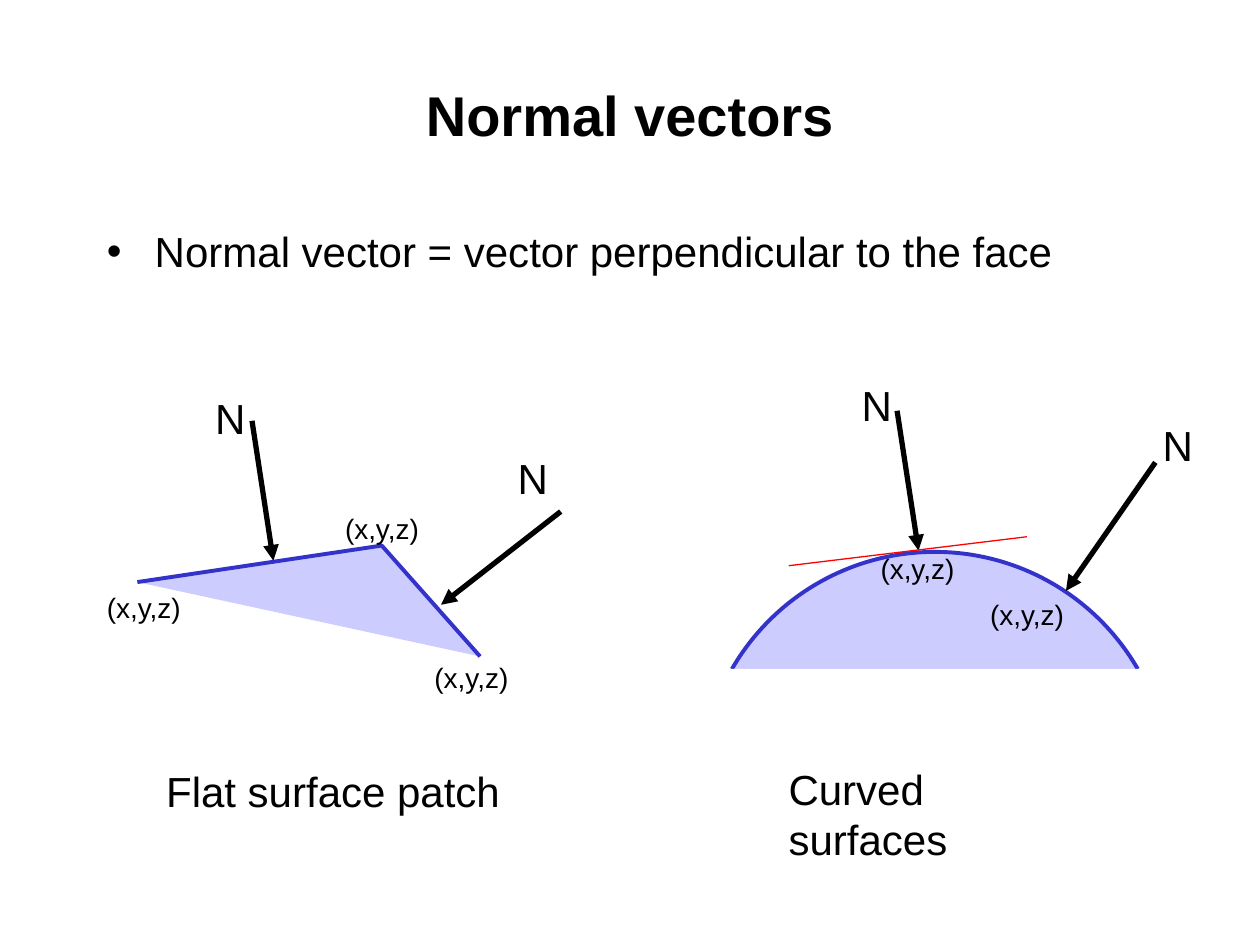
import pptx
import pptx.dml.color
import pptx.enum.shapes
import pptx.enum.text
import pptx.oxml.ns
import pptx.util
from dataclasses import dataclass
from lxml import etree

Inches = pptx.util.Inches
Pt = pptx.util.Pt
Align = pptx.enum.text.PP_ALIGN
Anchor = pptx.enum.text.MSO_ANCHOR
Shape = pptx.enum.shapes.MSO_SHAPE


@dataclass(frozen=True)
class Theme:
    font: str = "Arial"
    ink: str = "000000"
    paper: str = "FFFFFF"
    surface: str = "CCCCFF"
    edge: str = "3333CC"
    tangent: str = "FF0000"
    title_size: int = 32
    text_size: int = 24
    point_size: int = 16


THEME = Theme()


def rgb(code):
    return pptx.dml.color.RGBColor.from_string(code)


def add_xml(parent, tag, **attributes):
    return etree.SubElement(parent, pptx.oxml.ns.qn(tag), attributes)


def add_text(slide, text, left, top, width, height, *, size=THEME.text_size,
             bold=False, wrap=False, align=Align.LEFT, anchor=Anchor.TOP,
             before=0, after=0, spacing=None, bullet_indent=None):
    box = slide.shapes.add_textbox(*map(Inches, (left, top, width, height)))
    frame = box.text_frame
    frame.word_wrap = wrap
    frame.vertical_anchor = anchor
    paragraph = frame.paragraphs[0]
    paragraph.alignment = align
    paragraph.space_before, paragraph.space_after = Pt(before), Pt(after)
    paragraph.line_spacing = spacing
    if bullet_indent:
        properties = paragraph._p.get_or_add_pPr()
        properties.set("marL", str(Inches(bullet_indent)))
        properties.set("indent", str(-Inches(bullet_indent)))
        add_xml(properties, "a:buFont", typeface=THEME.font)
        add_xml(properties, "a:buChar", char="•")
    run = paragraph.add_run()
    run.text = text
    run.font.name, run.font.size, run.font.bold = THEME.font, Pt(size), bold
    run.font.color.rgb = rgb(THEME.ink)


def style_shape(shape, fill, edge=None):
    shape.shadow.inherit = False
    shape.fill.solid()
    shape.fill.fore_color.rgb = rgb(fill)
    if edge:
        shape.line.color.rgb = rgb(edge)
        shape.line.width = Pt(2.25)
    else:
        shape.line.fill.background()


def add_line(slide, start, end, color, width, arrow=False):
    line = slide.shapes.add_connector(
        pptx.enum.shapes.MSO_CONNECTOR.STRAIGHT, *map(Inches, start + end))
    line.line.color.rgb = rgb(color)
    line.line.width = Pt(width)
    if arrow:
        add_xml(line.line._get_or_add_ln(), "a:tailEnd", type="triangle")
    add_xml(line._element.spPr, "a:effectLst")


def add_normal(slide, start, end, label_at):
    add_line(slide, start, end, THEME.ink, 3, arrow=True)
    add_text(slide, "N", *label_at, 0.44, 0.5)


def add_points(slide, positions):
    for position in positions:
        add_text(slide, "(x,y,z)", *position, 0.8, 0.37, size=THEME.point_size)


def add_flat_patch(slide):
    corners = [(1.09, 4.62), (3.03, 4.33), (3.81, 5.21)]
    first, *others = [tuple(map(Inches, corner)) for corner in corners]
    builder = slide.shapes.build_freeform(*first)
    builder.add_line_segments(others, close=False)
    style_shape(builder.convert_to_shape(), THEME.surface, THEME.edge)
    add_normal(slide, (2, 3.34), (2.17, 4.45), (1.61, 3.07))
    add_normal(slide, (4.45, 4.06), (3.5, 4.8), (4.01, 3.54))
    add_points(slide, [(0.75, 4.64), (2.64, 4.01), (3.35, 5.19)])
    add_text(slide, "Flat surface patch", 1.22, 6.03, 2.85, 0.5)


def add_curved_surface(slide):
    # Circular arc from 210 to 330 degrees, cut off level at its ends
    center_x, center_y, radius = 7.42, 6.24, 1.86
    dome = slide.shapes.add_shape(
        Shape.ARC, Inches(center_x - radius), Inches(center_y - radius),
        Inches(2 * radius), Inches(2 * radius))
    angle_unit = 60000 / 100000
    dome.adjustments[0] = 210 * angle_unit
    dome.adjustments[1] = 330 * angle_unit
    style_shape(dome, THEME.surface, THEME.edge)
    cutoff = slide.shapes.add_shape(
        Shape.RECTANGLE, *map(Inches, (5.63, 5.31, 3.62, 0.96)))
    style_shape(cutoff, THEME.paper)

    add_normal(slide, (7.12, 3.26), (7.29, 4.37), (6.74, 2.96))
    add_normal(slide, (9.17, 3.67), (8.46, 4.69), (9.13, 3.28))
    add_points(slide, [(6.89, 4.33), (7.76, 4.69)])
    add_text(slide, "Curved surfaces", 6.16, 6.01, 2.62, 0.5)
    add_line(slide, (6.26, 4.49), (8.15, 4.26), THEME.tangent, 0.75)


def main():
    deck = pptx.Presentation()
    deck.slide_width, deck.slide_height = Inches(10), Inches(7.5)
    slide = deck.slides.add_slide(deck.slide_layouts[6])

    # Heading and definition
    add_text(slide, "Normal vectors", 0.75, 0.28, 8.5, 1.25,
             size=THEME.title_size, bold=True, wrap=True, align=Align.CENTER,
             anchor=Anchor.MIDDLE, before=12, after=6)
    add_text(slide, "Normal vector = vector perpendicular to the face",
             0.75, 1.7, 8.5, 5.43, wrap=True, before=18, spacing=1.1,
             bullet_indent=0.38)

    # The two kinds of surface
    add_flat_patch(slide)
    add_curved_surface(slide)
    deck.save("out.pptx")


if __name__ == "__main__":
    main()
